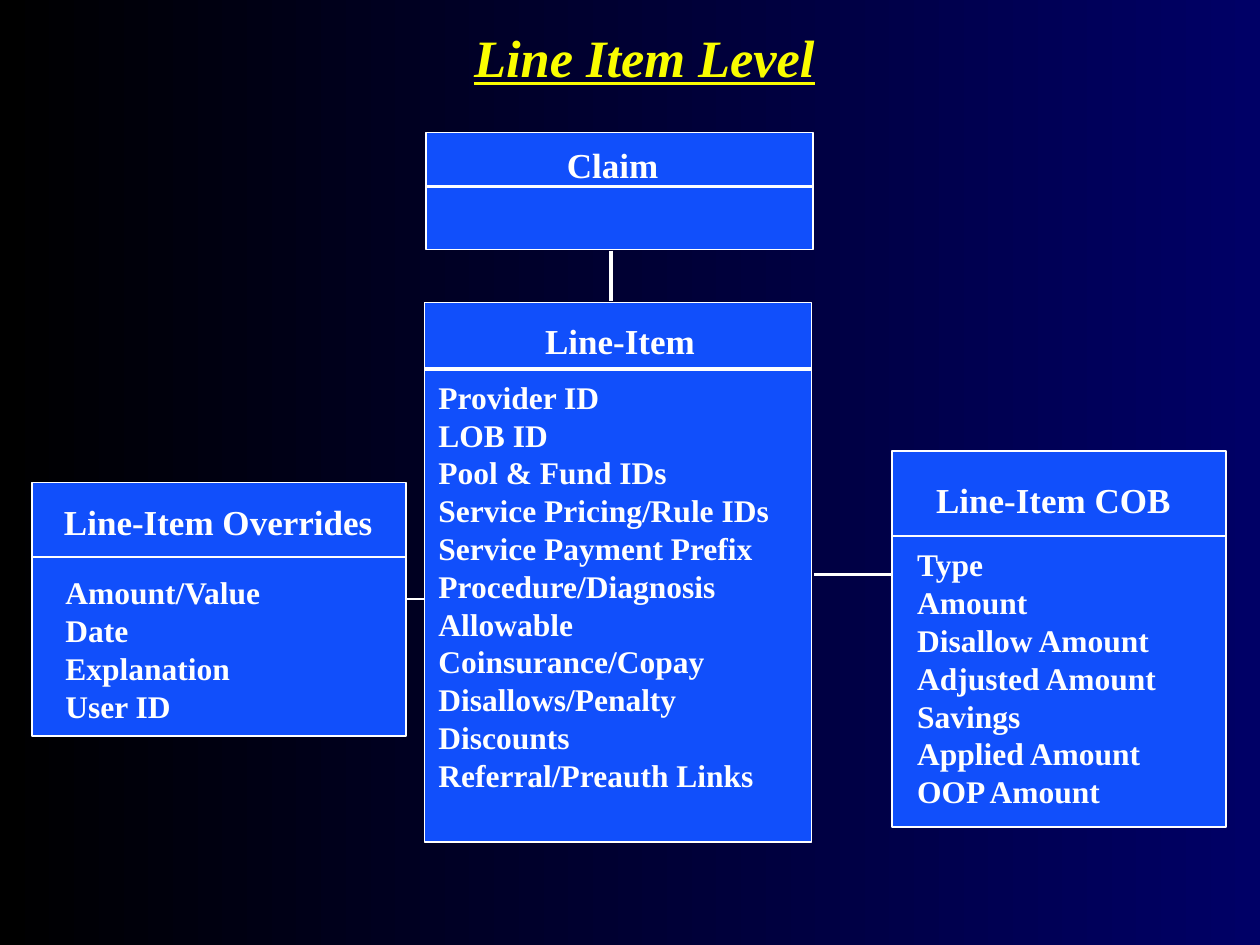
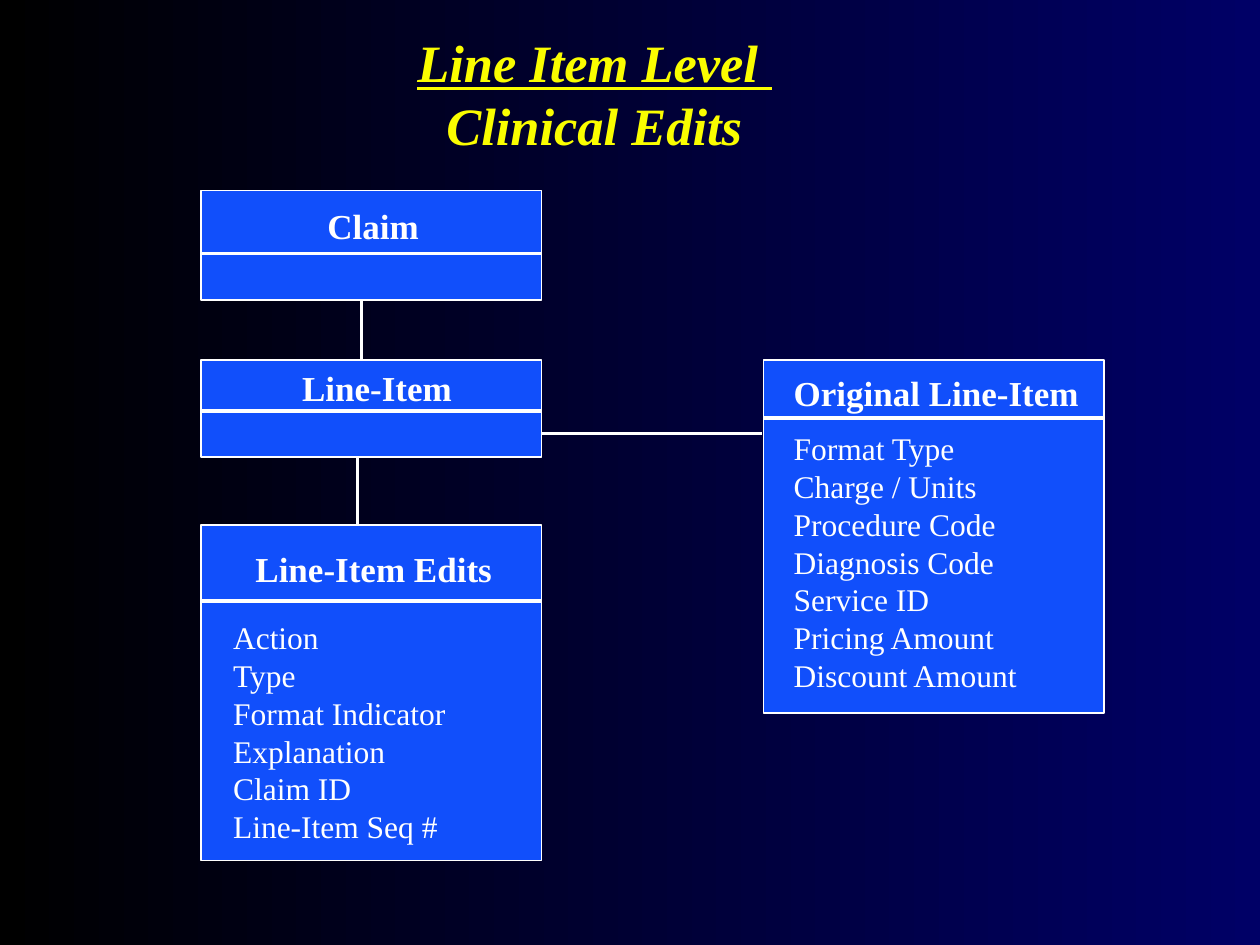
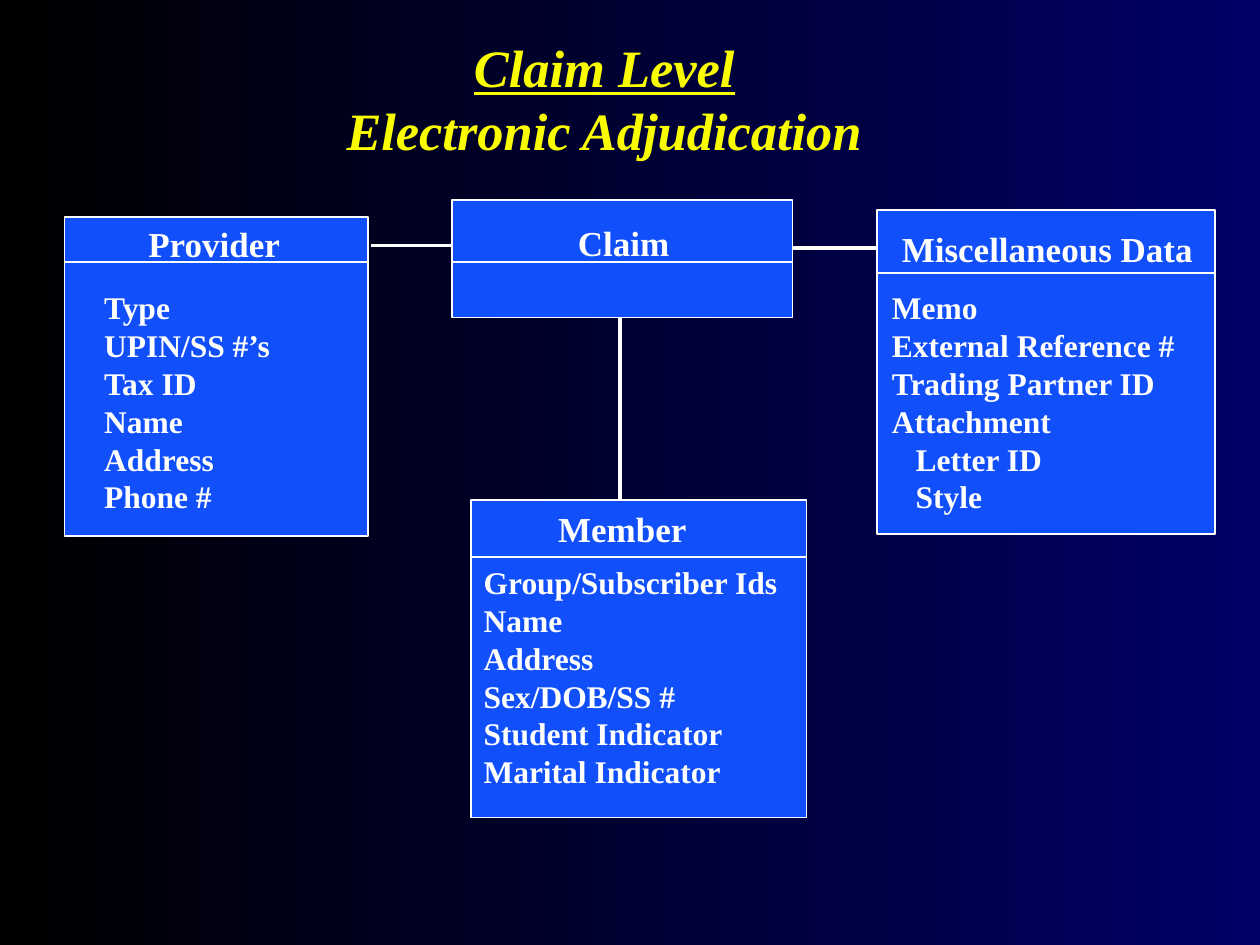
from lxml import etree
from pptx import Presentation
from pptx import util as u
from pptx.dml.color import RGBColor
from pptx.enum import shapes, text
from pptx.oxml.ns import qn

COLORS = {"night": "000066", "black": "000000", "box": "114FFB",
          "white": "FFFFFF", "title": "FAFD00"}
FONT = "Times New Roman"


def color(name):
    return RGBColor.from_string(COLORS[name])


class Deck:
    def __init__(self):
        self.prs = Presentation()
        self.prs.slide_width, self.prs.slide_height = u.Cm(25.4), u.Cm(19.05)
        fill = self.prs.slide_master.background.fill
        fill.gradient()
        fill.gradient_angle = 180
        for stop, name in zip(fill.gradient_stops, ("night", "black")):
            stop.color.rgb = color(name)
        self.s = None

    def slide(self):
        self.s = self.prs.slides.add_slide(self.prs.slide_layouts[6])

    def text(self, left, top, width, lines, size, name="white", bold=True, align=None):
        height = 0.25 + len(lines) * size * 0.0423
        sp = self.s.shapes.add_textbox(*map(u.Cm, (left, top, width, height)))
        tf = sp.text_frame
        tf.word_wrap = False
        tf.text = "\n".join(lines)
        for p in tf.paragraphs:
            p.alignment = align
            for r in p.runs:
                r.font.name, r.font.size, r.font.bold = FONT, u.Pt(size), bold
                r.font.color.rgb = color(name)
        return tf

    def title(self, left, top, width, heading, subtitle="", inset=0.25):
        content = f"{heading}\v{subtitle}" if subtitle else heading
        tf = self.text(left, top, width, [content], 30, "title",
                       align=text.PP_ALIGN.CENTER)
        tf.word_wrap = bool(subtitle)
        tf.margin_left = u.Cm(inset)
        for i, r in enumerate(tf.paragraphs[0].runs):
            r.font.italic = True
            r.font.underline = i == 0

    def line(self, x1, y1, x2, y2, weight=2):
        sp = self.s.shapes.add_connector(shapes.MSO_CONNECTOR.STRAIGHT,
                                         *map(u.Cm, (x1, y1, x2, y2)))
        sp.line.color.rgb = color("white")
        sp.line.width = u.Pt(weight)
        etree.SubElement(sp._element.spPr, qn("a:effectLst"))

    def box(self, left, top, width, height):
        sp = self.s.shapes.add_shape(shapes.MSO_SHAPE.RECTANGLE,
                                     *map(u.Cm, (left, top, width, height)))
        sp.shadow.inherit = False
        sp.fill.solid()
        sp.fill.fore_color.rgb = color("box")
        sp.line.color.rgb = color("white")
        sp.line.width = u.Pt(1)

    def entity(self, name, frame, name_at, rule_y, weight=2,
               items_at=None, items=(), bold=True, nested=()):
        left, _, width, _ = frame
        self.box(*frame)
        self.text(*name_at, [name], 20)
        self.line(left, rule_y, left + width, rule_y, weight)
        if items:
            tf = self.text(*items_at, items, 18, bold=bold)
            for p in tf.paragraphs:
                if p.text in nested:
                    p._p.get_or_add_pPr().set("marL", str(u.Cm(0.48)))


def line_item_level(d):
    d.slide()
    d.line(8.69, 12.07, 8.05, 12.07, 1)
    d.line(12.32, 5.05, 12.32, 6.07)
    d.line(16.41, 11.58, 18.24, 11.58)
    d.title(9.3, 0.38, 7.39, "Line Item Level")
    d.entity("Claim", (8.59, 2.67, 7.8, 2.36), (11.18, 2.77, 2.36), 3.76)
    d.entity("Line-Item", (8.56, 6.1, 7.8, 10.87), (10.74, 6.32, 3.53), 7.44,
             items_at=(8.59, 7.49, 7.19),
             items=["Provider ID", "LOB ID", "Pool & Fund IDs",
                    "Service Pricing/Rule IDs", "Service Payment Prefix",
                    "Procedure/Diagnosis", "Allowable", "Coinsurance/Copay",
                    "Disallows/Penalty", "Discounts", "Referral/Preauth Links"])
    d.entity("Line-Item COB", (17.98, 9.09, 6.73, 7.59), (18.62, 9.53, 5.49), 10.8, 1,
             items_at=(18.24, 10.87, 6.27),
             items=["Type", "Amount", "Disallow Amount", "Adjusted Amount",
                    "Savings", "Applied Amount", "OOP Amount"])
    d.entity("Line-Item Overrides", (0.64, 9.73, 7.54, 5.11), (1.04, 9.96, 6.73), 11.23, 1,
             items_at=(1.07, 11.43, 4.5),
             items=["Amount/Value", "Date", "Explanation", "User ID"])


def clinical_edits(d):
    d.slide()
    d.title(2.01, 0.48, 14.94, "Line Item Level ", "Clinical Edits", inset=5.26)
    d.line(7.29, 6.07, 7.29, 7.26)
    d.line(7.21, 9.22, 7.21, 10.95)
    d.line(10.85, 8.74, 15.37, 8.74)
    d.entity("Line-Item Edits", (4.06, 10.59, 6.86, 6.76), (4.9, 10.92, 5.28), 12.12,
             items_at=(4.45, 12.34, 4.8), bold=False,
             items=["Action", "Type", "Format Indicator", "Explanation",
                    "Claim ID", "Line-Item Seq #"])
    d.entity("Line-Item", (4.06, 7.26, 6.86, 1.96), (5.84, 7.26, 3.53), 8.28)
    d.entity("Claim", (4.06, 3.84, 6.86, 2.21), (6.35, 3.99, 2.36), 5.11)
    d.entity("Original Line-Item", (15.39, 7.26, 6.86, 7.11), (15.75, 7.37, 6.27), 8.43,
             items_at=(15.75, 8.53, 5.05), bold=False,
             items=["Format Type", "Charge / Units", "Procedure Code",
                    "Diagnosis Code", "Service ID", "Pricing Amount",
                    "Discount Amount"])


def claim_level(d):
    d.slide()
    d.title(6.71, 0.58, 10.95, "Claim Level", "Electronic Adjudication")
    d.line(15.93, 5, 17.68, 5)
    d.line(12.5, 6.4, 12.5, 10.11)
    d.line(7.47, 4.95, 9.09, 4.95)
    d.entity("Claim", (9.12, 4.04, 6.86, 2.36), (11.4, 4.34, 2.36), 5.28, 1)
    d.entity("Miscellaneous Data", (17.68, 4.24, 6.81, 6.53), (17.93, 4.47, 6.38), 5.51, 1,
             items_at=(17.73, 5.69, 6.22), nested=("Letter ID", "Style"),
             items=["Memo", "External Reference #", "Trading Partner ID",
                    "Attachment", "Letter ID", "Style"])
    d.entity("Member", (9.5, 10.08, 6.76, 6.4), (11, 10.11, 3.1), 11.23, 1,
             items_at=(9.5, 11.23, 6.45),
             items=["Group/Subscriber Ids", "Name", "Address", "Sex/DOB/SS #",
                    "Student Indicator", "Marital Indicator"])
    d.entity("Provider", (1.3, 4.37, 6.12, 6.43), (2.74, 4.37, 3.18), 5.28, 1,
             items_at=(1.85, 5.69, 3.89),
             items=["Type", "UPIN/SS #’s", "Tax ID", "Name", "Address", "Phone #"])


def main():
    d = Deck()
    for build in (line_item_level, clinical_edits, claim_level):
        build(d)
    d.prs.save("out.pptx")


if __name__ == "__main__":
    main()
